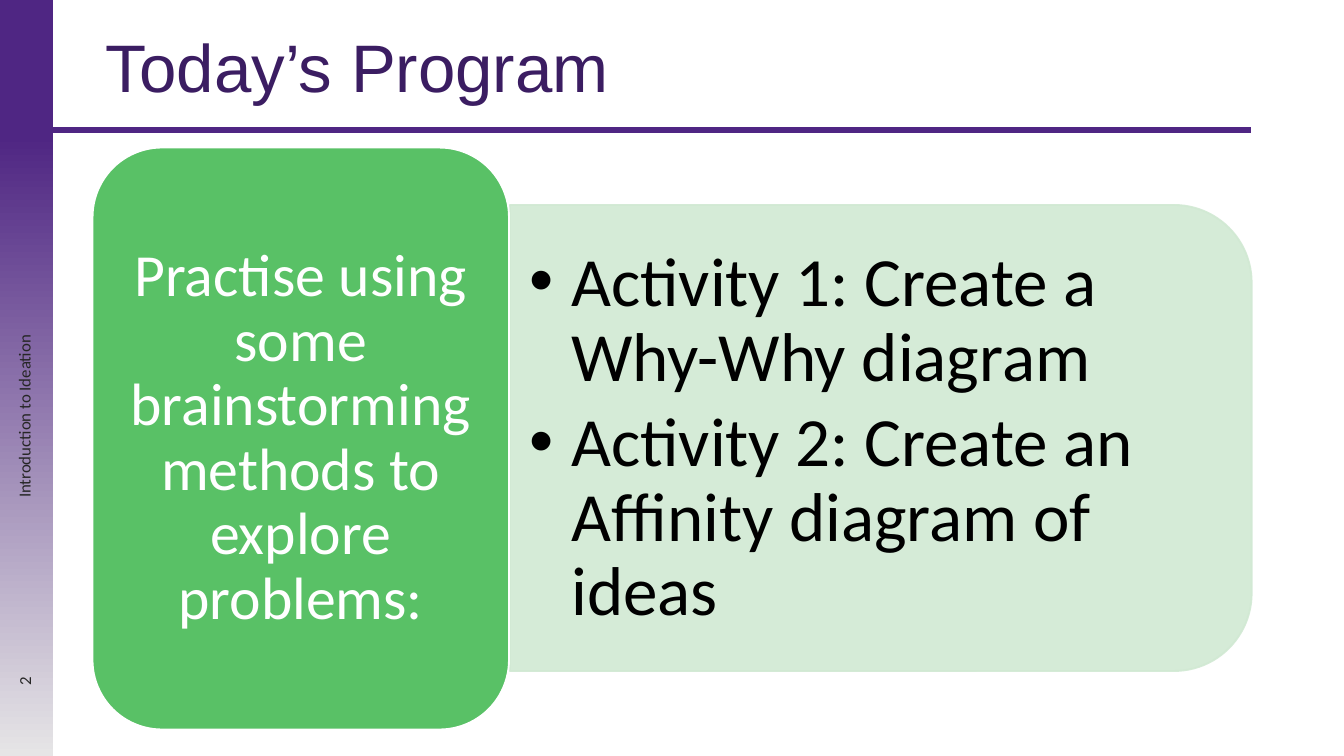
from lxml import etree
from pptx import Presentation
from pptx.dml.color import RGBColor
from pptx.enum.shapes import MSO_CONNECTOR, MSO_SHAPE
from pptx.enum.text import MSO_ANCHOR, MSO_AUTO_SIZE, PP_ALIGN
from pptx.oxml.ns import qn
from pptx.util import Cm, Pt

RECT = MSO_SHAPE.RECTANGLE
ROUND = MSO_SHAPE.ROUNDED_RECTANGLE
TAB = MSO_SHAPE.ROUND_2_SAME_RECTANGLE
LEFT, MID, RIGHT = PP_ALIGN.LEFT, PP_ALIGN.CENTER, PP_ALIGN.RIGHT

TITLE = "Today’s Program"
GOAL = "Practise using some brainstorming methods to explore problems:"
TASKS = [
    "Activity 1: Create a Why-Why diagram",
    "Activity 2: Create an Affinity diagram of ideas",
]
FOOTER = "Introduction to Ideation"
NUMBER = "2"

PURPLE, GREY, INK = "4F2683", "E6E5E6", "262626"
GREEN, PALE, WHITE = "59C166", "D1E9D3", "FFFFFF"

BOX = {
    "bar": (-6.65, 6.63, 14.3, 1.02),
    "title": (1.75, 0.2, 19.63, 2.26),
    "panel": (12.24, 1.27, 8.81, 14.02),
    "tasks": (9.63, 4.32, 13.59, 7.95),
    "goal": (1.75, 2.79, 7.87, 11),
    "footer": (-4.17, 7.49, 9.25, 0.76),
    "number": (0.08, 12.8, 0.76, 1.22),
}
RULE = (-0.03, 2.46, 23.65, 2.46)


def color(code):
    return RGBColor.from_string(code)


def place(name):
    return [Cm(n) for n in BOX[name]]


def move(shape, name):
    shape.left, shape.top, shape.width, shape.height = place(name)


def write(shape, lines, size, code, font="Calibri", align=LEFT,
          pad=(0.25, 0.13), lead=1, after=0):
    frame = shape.text_frame
    frame.word_wrap = True
    frame.auto_size = MSO_AUTO_SIZE.NONE
    frame.vertical_anchor = MSO_ANCHOR.MIDDLE
    frame.margin_left = frame.margin_right = Cm(pad[0])
    frame.margin_top = frame.margin_bottom = Cm(pad[1])
    for i, line in enumerate(lines):
        para = frame.add_paragraph() if i else frame.paragraphs[0]
        para.alignment, para.line_spacing = align, lead
        para.space_before, para.space_after = Pt(0), Pt(after)
        run = para.add_run()
        run.text = line
        run.font.size, run.font.name = Pt(size), font
        run.font.color.rgb = color(code)


def draw(slide, kind, name, turn=0):
    shape = slide.shapes.add_shape(kind, *place(name))
    shape.shadow.inherit = False
    shape.rotation = turn
    return shape


def fade(fill, share):
    for tone in fill.iter(qn("a:srgbClr")):
        etree.SubElement(tone, qn("a:alpha"), val=str(share * 1000))


def bullet(para, indent):
    props = para._p.get_or_add_pPr()
    props.set("marL", str(Cm(indent)))
    props.set("indent", str(-Cm(indent)))
    etree.SubElement(props, qn("a:buChar"), char="•")


def main():
    deck = Presentation()
    deck.slide_width, deck.slide_height = Cm(25.4), Cm(14.29)
    slide = deck.slides.add_slide(deck.slide_layouts[1])
    title, tasks = slide.placeholders

    rule = slide.shapes.add_connector(
        MSO_CONNECTOR.STRAIGHT, *[Cm(n) for n in RULE])
    rule.line.color.rgb = color(PURPLE)
    rule.line.width = Pt(3.5)
    etree.SubElement(rule._element.spPr, qn("a:effectLst"))

    bar = draw(slide, RECT, "bar", 90)
    bar.line.fill.background()
    bar.fill.gradient()
    bar.fill.gradient_angle = 180
    for stop, code, spot in zip(
            bar.fill.gradient_stops, (GREY, PURPLE), (0, 0.82)):
        stop.color.rgb, stop.position = color(code), spot

    move(title, "title")
    write(title, [TITLE], 36, "3B1D62", "Arial", lead=0.9)

    panel = draw(slide, TAB, "panel", 90)
    goal = draw(slide, ROUND, "goal")
    for shape, fill, edge in ((panel, PALE, PALE), (goal, GREEN, WHITE)):
        shape.fill.solid()
        shape.fill.fore_color.rgb = color(fill)
        shape.line.color.rgb = color(edge)
        shape.line.width = Pt(1)
    fade(panel._element.spPr, 90)
    write(goal, [GOAL], 32, WHITE, align=MID, pad=(0.33, 0.18), lead=0.9)

    move(tasks, "tasks")
    write(tasks, TASKS, 37, "000000", pad=(0.38, 0.2), lead=0.9, after=6)
    for para in tasks.text_frame.paragraphs:
        bullet(para, 0.79)
    slide.shapes._spTree.append(tasks._element)

    footer = slide.shapes.add_textbox(*place("footer"))
    footer.rotation = 270
    write(footer, [FOOTER], 9, INK, align=MID)

    number = slide.shapes.add_textbox(*place("number"))
    write(number, [NUMBER], 9, INK, align=RIGHT, pad=(0, 0))
    number.text_frame._txBody.bodyPr.set("vert", "vert270")

    deck.save("out.pptx")


if __name__ == "__main__":
    main()
